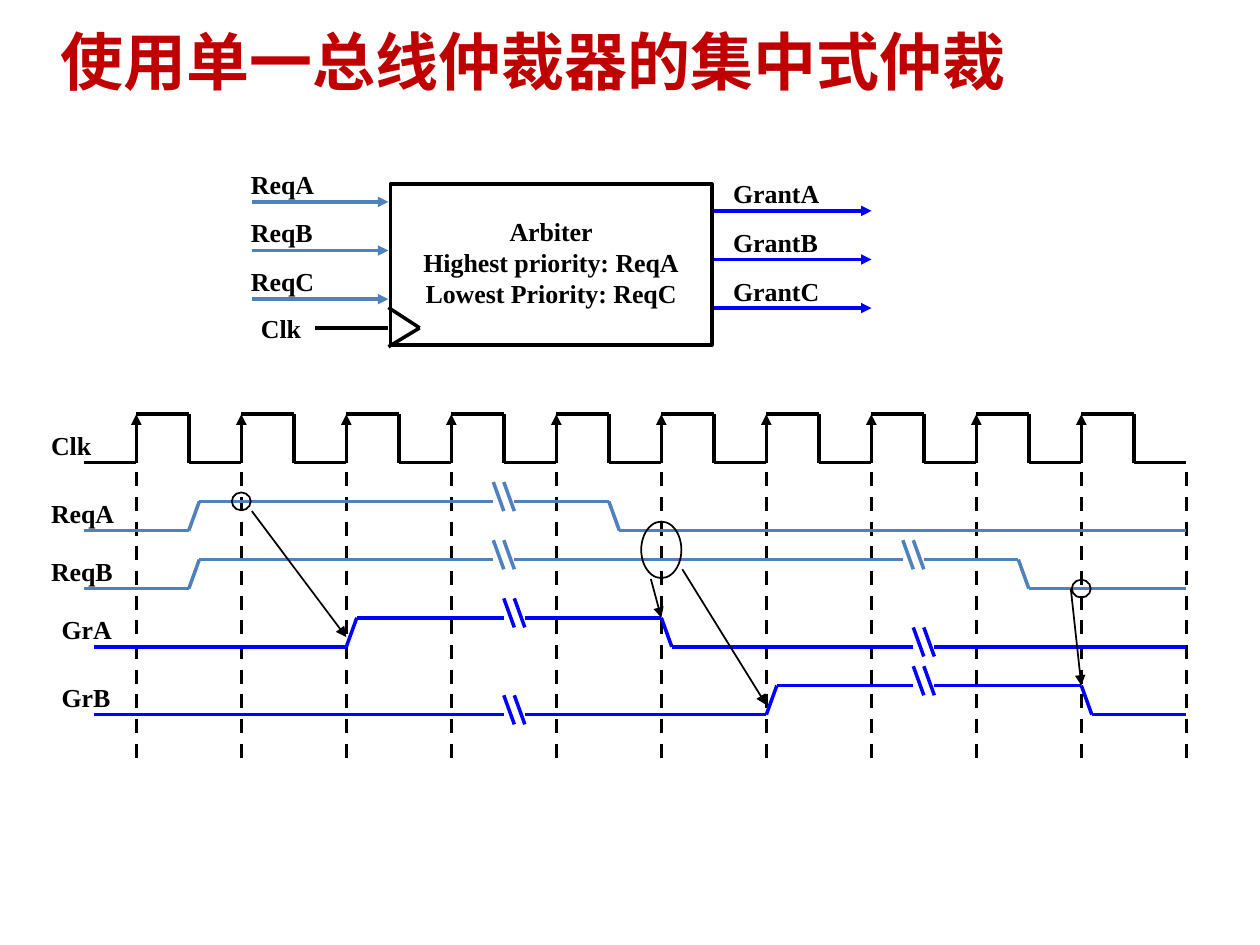
from lxml.etree import SubElement
from pptx import Presentation
from pptx.dml.color import RGBColor
from pptx.enum.dml import MSO_LINE
from pptx.enum.shapes import MSO_CONNECTOR, MSO_SHAPE
from pptx.enum.text import MSO_ANCHOR, MSO_AUTO_SIZE, PP_ALIGN
from pptx.oxml.ns import qn
from pptx.util import Cm, Pt

BLACK = RGBColor(0x00, 0x00, 0x00)
RED = RGBColor(0xC0, 0x00, 0x00)
STEEL = RGBColor(0x4F, 0x81, 0xBD)
BLUE = RGBColor(0x00, 0x00, 0xFF)
SERIF = "Times New Roman"
HAN = "Noto Sans CJK SC"
COL = 2.54 / 12
ROW = 2.54 / 13
LAST = 105


def line(slide, start, end, color=BLACK, width=2, arrow=False, dash=False):
    """Draw a straight line between two points in centimetres."""
    ends = [Cm(v) for v in (*start, *end)]
    link = slide.shapes.add_connector(MSO_CONNECTOR.STRAIGHT, *ends)
    link.line.color.rgb = color
    link.line.width = Pt(width)
    if dash:
        link.line.dash_style = MSO_LINE.DASH
    if arrow:
        SubElement(link.line._get_or_add_ln(), qn("a:tailEnd"), type="triangle")
    SubElement(link._element.spPr, qn("a:effectLst"))


def outline(slide, kind, box, width):
    """Draw an unfilled shape with a black edge."""
    shape = slide.shapes.add_shape(kind, *[Cm(v) for v in box])
    shape.shadow.inherit = False
    shape.fill.background()
    shape.line.color.rgb = BLACK
    shape.line.width = Pt(width)


def label(slide, text, left, top, width, height=0.86, align=PP_ALIGN.LEFT):
    """Place bold serif text that does not wrap."""
    box = slide.shapes.add_textbox(Cm(left), Cm(top), Cm(width), Cm(height))
    frame = box.text_frame
    frame.margin_left = frame.margin_right = Cm(0.23)
    frame.margin_top = frame.margin_bottom = Cm(0.11)
    frame.word_wrap = False
    frame.auto_size = MSO_AUTO_SIZE.SHAPE_TO_FIT_TEXT
    frame.text = text
    for para in frame.paragraphs:
        para.alignment = align
        font = para.runs[0].font
        font.name, font.size, font.bold = SERIF, Pt(14.8), True
        font.color.rgb = BLACK


def title(slide, text, left, top, width, height):
    """Place the slide title."""
    box = slide.shapes.add_textbox(Cm(left), Cm(top), Cm(width), Cm(height))
    frame = box.text_frame
    frame.margin_left = frame.margin_right = 0
    frame.margin_top = frame.margin_bottom = 0
    frame.word_wrap = True
    frame.vertical_anchor = MSO_ANCHOR.MIDDLE
    frame.text = text
    run = frame.paragraphs[0].runs[0]
    run.font.name, run.font.size, run.font.bold = HAN, Pt(36), True
    run.font.color.rgb = RED
    SubElement(run._r.get_or_add_rPr(), qn("a:ea"), typeface=HAN)


def block(slide, left, top):
    """Draw the arbiter with its requests, grants and clock input."""
    outline(slide, MSO_SHAPE.RECTANGLE, (left + 2.79, top, 6.48, 3.25), 2)
    text = "Arbiter\nHighest priority: ReqA\nLowest Priority: ReqC"
    label(slide, text, left + 3.2, top + 0.53, 5.66, 2.13, PP_ALIGN.CENTER)
    for i, name in enumerate("ABC"):
        y = top + 0.36 + 0.98 * i
        line(slide, (left, y), (left + 2.75, y), STEEL, arrow=True)
        label(slide, "Req" + name, left - 0.25, y - 0.79, 1.75)
        x, y = left + 9.32, y + 0.18
        line(slide, (x, y), (x + 3.17, y), BLUE, arrow=True)
        label(slide, "Grant" + name, x + 0.15, y - 0.77, 2.2)
    edge, tip = left + 2.75, (left + 3.38, top + 2.9)
    line(slide, (edge, top + 2.49), tip)
    line(slide, (edge, top + 3.28), tip)
    line(slide, (edge, top + 2.9), (left + 1.27, top + 2.9))
    label(slide, "Clk", left - 0.05, top + 2.49, 1.3)


def clock(slide, spot):
    """Draw ten clock cycles and the dashed line of each rising edge."""
    line(slide, spot(0, 5), spot(5, 5))
    for x in range(5, LAST, 10):
        line(slide, spot(x, 5), spot(x, 0), arrow=True)
        line(slide, spot(x, 0), spot(x + 5, 0))
        line(slide, spot(x + 5, 0), spot(x + 5, 5))
        line(slide, spot(x + 5, 5), spot(x + 10, 5))
    for x in range(5, LAST + 1, 10):
        line(slide, spot(x, 6), spot(x, 36), dash=True)


def wave(slide, spot, color, start, high, turns, gaps):
    """Draw a signal that flips at each turn and is cut at each gap."""
    low = high + 3
    x, y = start, low
    for mark in sorted(turns + gaps):
        line(slide, spot(x, y), spot(mark, y), color)
        if mark in turns:
            x, past = mark + 1, y
            y = high if y == low else low
            line(slide, spot(mark, past), spot(x, y), color)
        else:
            x = mark + 2
            for cut in (mark, mark + 1):
                line(slide, spot(cut + 1, y + 1), spot(cut, y - 2), color)
    line(slide, spot(x, y), spot(LAST, y), color)


def timing(slide, left, top):
    """Draw the timing diagram with its cause and effect marks."""
    def spot(x, y):
        """Turn grid units into centimetres."""
        return left + x * COL, top + y * ROW

    waves = [
        ("ReqA", STEEL, 0, 9, [10, 50], [39]),
        ("ReqB", STEEL, 0, 15, [10, 89], [39, 78]),
        ("GrA", BLUE, 1, 21, [25, 55], [40, 79]),
        ("GrB", BLUE, 1, 28, [25 + 40, 95], [40, 79]),
    ]
    clock(slide, spot)
    names = [("Clk", 0, 5, 1.3)]
    for name, color, start, high, turns, gaps in waves:
        wave(slide, spot, color, start, high, turns, gaps)
        names.append((name, start, high + 3, 1.75 if start == 0 else 1.49))
    for name, start, low, width in names:
        x, y = spot(start, low)
        label(slide, name, x - 0.89, y - 0.77, width)
    for x, y, w, h in [(15, 9, 0.38, 0.36), (55, 14, 0.81, 1.14), (95, 18, 0.38, 0.36)]:
        x, y = spot(x, y)
        outline(slide, MSO_SHAPE.OVAL, (x - w / 2, y - h / 2, w, h), 1)
    for start, end in [
        ((16, 10), (25, 23)),
        ((57, 16), (65, 30)),
        ((54, 17), (55, 21)),
        ((94, 18), (95, 28)),
    ]:
        line(slide, spot(*start), spot(*end), width=1, arrow=True)


def main():
    """Build and save the slide."""
    deck = Presentation()
    deck.slide_width, deck.slide_height = Cm(25.4), Cm(19.05)
    slide = deck.slides.add_slide(deck.slide_layouts[6])
    title(slide, "使用单一总线仲裁器的集中式仲裁", 1.22, 0.41, 23.16, 1.63)
    block(slide, 5.08, 3.71)
    timing(slide, 1.69, 8.35)
    deck.save("out.pptx")


if __name__ == "__main__":
    main()
